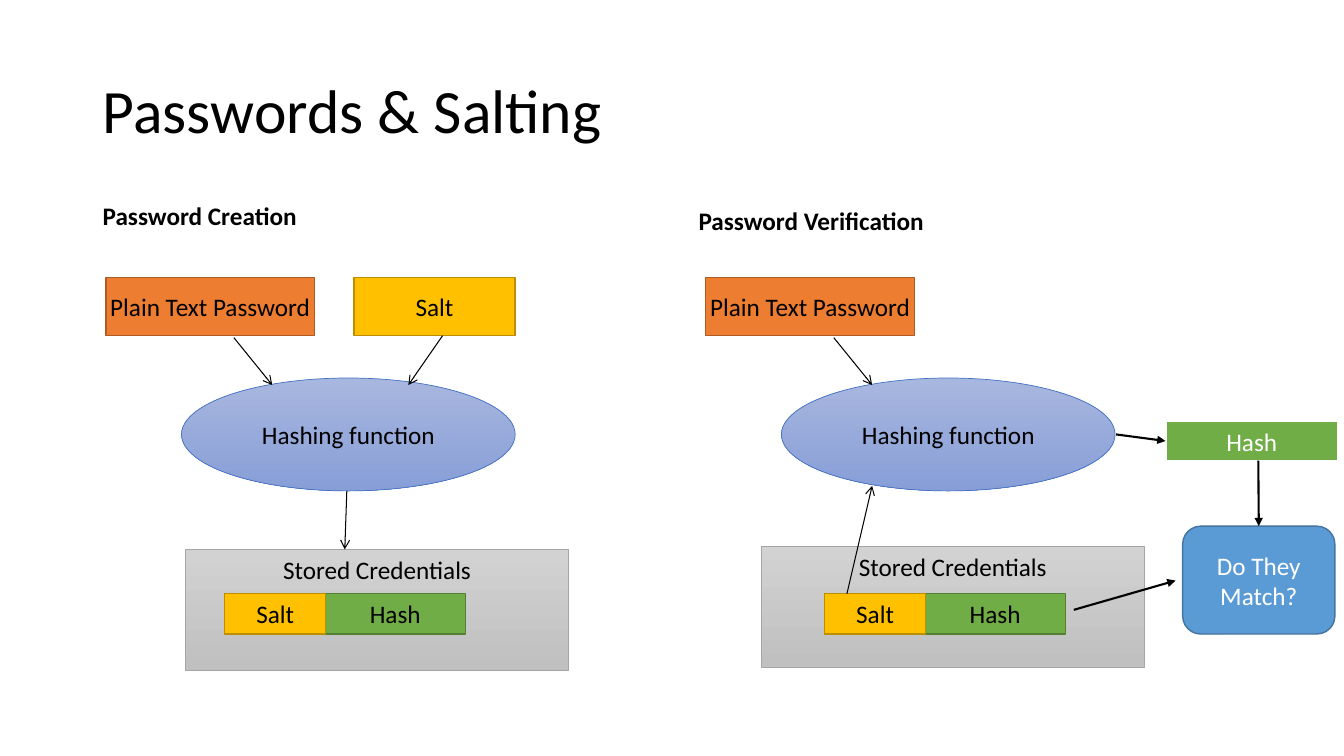
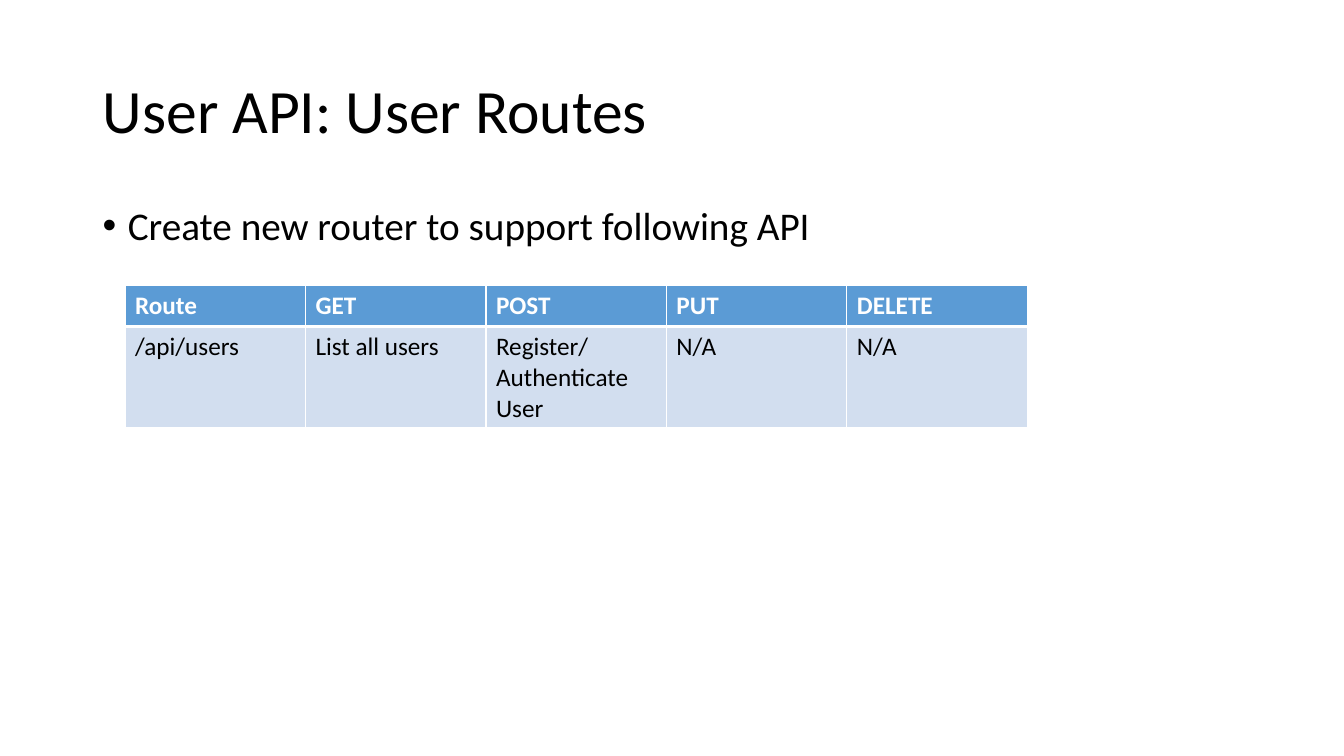
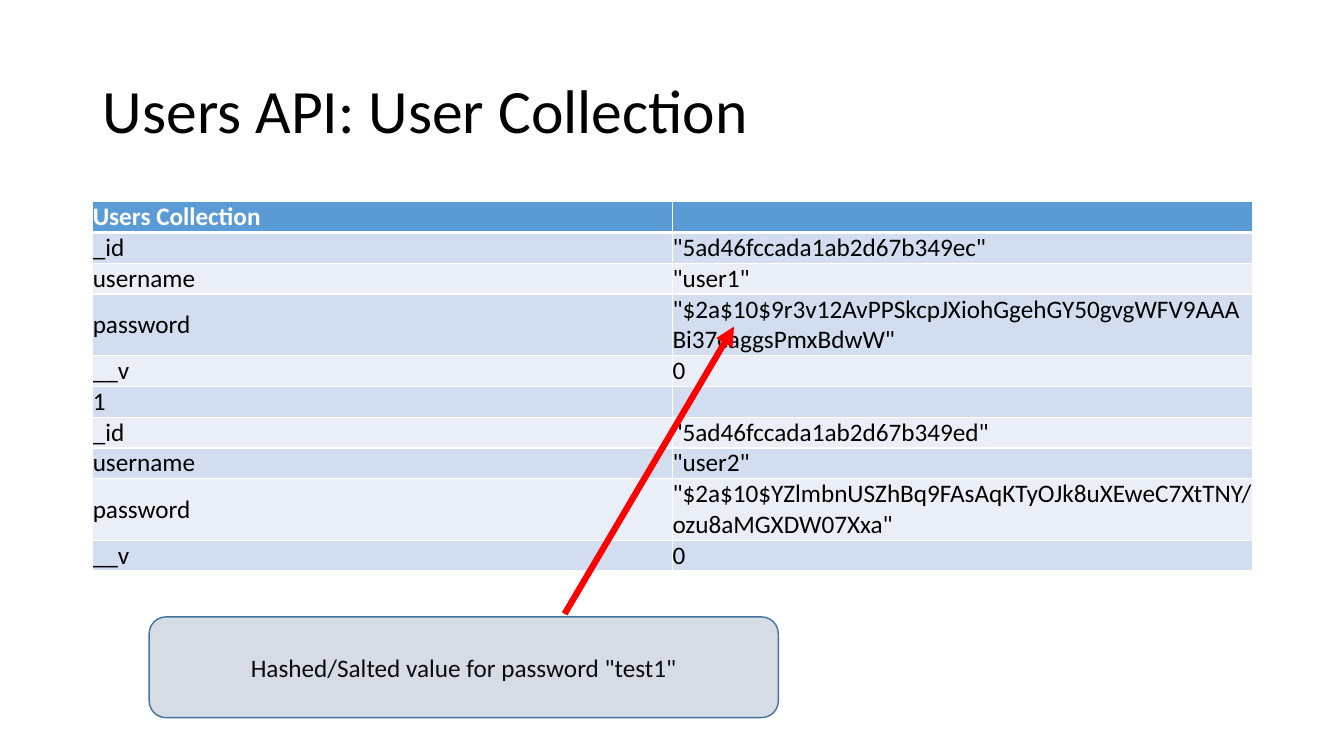
from lxml.etree import SubElement as sub
from pptx import Presentation
from pptx.dml.color import RGBColor
from pptx.enum.shapes import MSO_CONNECTOR, MSO_SHAPE as SHAPE
from pptx.enum.text import MSO_ANCHOR as ANCHOR, PP_ALIGN as ALIGN
from pptx.oxml.ns import qn
from pptx.util import Pt

PX = 9144  # 100 px to the inch
FONT = "Calibri"
BLACK, WHITE, RED = "000000", "FFFFFF", "FF0000"
BLUE, BAND, PALE = "5B9BD5", "D2DEEF", "EAEFF7"
rgb = RGBColor.from_string


def write(frame, text, size=18, color=BLACK, bold=False, align=ALIGN.LEFT,
          anchor=None, wrap=None, space=None):
    frame.word_wrap = wrap
    frame.vertical_anchor = anchor
    para = frame.paragraphs[0]
    para.alignment = align
    para.line_spacing = space
    run = para.add_run()
    run.text = text
    run.font.name, run.font.size, run.font.bold = FONT, Pt(size), bold
    run.font.color.rgb = rgb(color)
    return para


deck = Presentation()
deck.slide_width, deck.slide_height = 1333 * PX, 750 * PX

# Slides and titles
slides = []
for text in ("Passwords & Salting", "User API: User Routes",
             "Users API: User Collection"):
    slide = deck.slides.add_slide(deck.slide_layouts[5])
    title = slide.shapes.title
    title.left, title.top = 92 * PX, 40 * PX
    title.width, title.height = 1150 * PX, 145 * PX
    write(title.text_frame, text, size=44, anchor=ANCHOR.MIDDLE, wrap=True,
          space=0.9)
    slides.append(slide)
salting, routes, users = slides

# Headings and bullet
for x, y, w, text in ((92, 194, 214, "Password Creation"),
                      (683, 199, 245, "Password Verification")):
    head = salting.shapes.add_textbox(x * PX, y * PX, w * PX, 40 * PX)
    write(head.text_frame, text, bold=True, wrap=False)

body = routes.shapes.add_textbox(92 * PX, 200 * PX, 1150 * PX, 476 * PX)
para = write(body.text_frame, "Create new router to support following API",
             size=28, wrap=True, space=0.9)
para.space_before = Pt(10)
props = para._p.get_or_add_pPr()
props.set("marL", str(25 * PX))
props.set("indent", str(-25 * PX))
sub(props, qn("a:buFont"), typeface="Arial")
sub(props, qn("a:buChar"), char="•")

# Tables: slide, left, top, column width, row height, inset, anchor, rows
tables = [
    (routes, 124, 283, 179, 41, None, ANCHOR.TOP, [
        ("Route", "GET", "POST", "PUT", "DELETE"),
        ("/api/users", "List all users", "Register/ Authenticate User",
         "N/A", "N/A"),
    ]),
    (users, 92, 200, 575, 30, 0, ANCHOR.MIDDLE, [
        ("Users Collection", ""),
        ("_id", '"5ad46fccada1ab2d67b349ec"'),
        ("username", '"user1"'),
        ("password",
         '"$2a$10$9r3v12AvPPSkcpJXiohGgehGY50gvgWFV9AAABi37caggsPmxBdwW"'),
        ("__v", "0"),
        ("1", ""),
        ("_id", '"5ad46fccada1ab2d67b349ed"'),
        ("username", '"user2"'),
        ("password",
         '"$2a$10$YZlmbnUSZhBq9FAsAqKTyOJk8uXEweC7XtTNY/ozu8aMGXDW07Xxa"'),
        ("__v", "0"),
    ]),
]
for slide, x, y, w, h, inset, anchor, rows in tables:
    cols = len(rows[0])
    grid = slide.shapes.add_table(len(rows), cols, x * PX, y * PX,
                                  cols * w * PX, len(rows) * h * PX).table
    for r, row in enumerate(rows):
        for c, text in enumerate(row):
            cell = grid.cell(r, c)
            cell.vertical_anchor = anchor
            if inset is not None:
                cell.margin_left = cell.margin_right = inset
                cell.margin_top = cell.margin_bottom = inset
            # White borders, thick below the header
            for side in ("L", "R", "T", "B"):
                thick = (r, side) in ((0, "B"), (1, "T"))
                edge = sub(cell._tc.get_or_add_tcPr(), qn("a:ln" + side),
                           w=str(Pt(3 if thick else 1)))
                sub(sub(edge, qn("a:solidFill")), qn("a:srgbClr"), val=WHITE)
            cell.fill.solid()
            cell.fill.fore_color.rgb = rgb(
                BLUE if r == 0 else BAND if r % 2 else PALE)
            if text:
                write(cell.text_frame, text, bold=r == 0,
                      color=BLACK if r else WHITE)

# Box styles: shape, fill (two colours for a gradient), line, width, font
looks = {
    "plain": (SHAPE.RECTANGLE, ["ED7D31"], "AF5C24", 1, BLACK),
    "salt": (SHAPE.RECTANGLE, ["FFC000"], "BD8E00", 1, BLACK),
    "hash": (SHAPE.RECTANGLE, ["70AD47"], "538035", 1, BLACK),
    "func": (SHAPE.OVAL, ["A8B7DF", "889ED7"], "4472C4", 0.5, BLACK),
    "store": (SHAPE.RECTANGLE, ["D2D2D2", "C0C0C0"], "A5A5A5", 0.5, BLACK),
    "fresh": (SHAPE.RECTANGLE, ["70AD47"], WHITE, 1.5, WHITE),
    "match": (SHAPE.ROUNDED_RECTANGLE, [BLUE], "43739E", 1, WHITE),
    "note": (SHAPE.ROUNDED_RECTANGLE, ["D6DCE5"], "43739E", 1, "0C0C0C"),
}

# Boxes: slide, style, left, top, width, height, text
boxes = [
    (salting, "salt", 351, 275, 160, 58, "Salt"),
    (salting, "store", 184, 545, 380, 120, "Stored Credentials"),
    (salting, "store", 755, 542, 380, 120, "Stored Credentials"),
    (salting, "fresh", 1156, 418, 171, 39, "Hash"),
    (salting, "match", 1173, 522, 151, 107, "Do They Match?"),
    (users, "note", 148, 612, 624, 100,
     'Hashed/Salted value for password "test1"'),
]
SHIFT = 595  # from creation to verification
for dx in (0, SHIFT):
    boxes += [
        (salting, "plain", 105 + dx, 275, 207, 58, "Plain Text Password"),
        (salting, "func", 180 + dx, 375, 331, 112, "Hashing function"),
        (salting, "hash", 322 + dx, 589, 140, 40, "Hash"),
        (salting, "salt", 223 + dx, 589, 100, 40, "Salt"),
    ]
made = {}
for slide, name, x, y, w, h, text in boxes:
    kind, fill, edge, width, color = looks[name]
    box = slide.shapes.add_shape(kind, x * PX, y * PX, w * PX, h * PX)
    box.shadow.inherit = False
    if len(fill) == 1:
        box.fill.solid()
        box.fill.fore_color.rgb = rgb(fill[0])
    else:
        box.fill.gradient()
        box.fill.gradient_angle = 270
        for stop, tint in zip(box.fill.gradient_stops, fill):
            stop.color.rgb = rgb(tint)
    box.line.color.rgb = rgb(edge)
    box.line.width = Pt(width)
    write(box.text_frame, text, color=color, align=ALIGN.CENTER,
          anchor=ANCHOR.TOP if name == "store" else ANCHOR.MIDDLE,
          wrap=name in ("fresh", "match", "note"))
    made[name] = box

# Arrows: slide, start, end, colour, width, head, joined box and side
arrows = [
    (salting, (439, 333), (405, 382), BLACK, 0.75, "arrow", None),
    (salting, (232, 335), (270, 382), BLACK, 0.75, "arrow", None),
    (salting, (232 + SHIFT, 335), (270 + SHIFT, 382), BLACK, 0.75, "arrow",
     None),
    (salting, (344, 487), (342, 545), BLACK, 0.75, "arrow", None),
    (salting, (840, 589), (865, 482), BLACK, 0.75, "arrow", None),
    (salting, (1065, 605), (1166, 576), BLACK, 1.5, "triangle", None),
    (salting, (1248, 457), (1248, 522), BLACK, 1.5, "triangle", ("match", 0)),
    (salting, (1107, 431), (1156, 438), BLACK, 1.5, "triangle", ("fresh", 1)),
    (users, (560, 609), (728, 324), RED, 4.5, "triangle", None),
]
for slide, start, end, color, width, head, join in arrows:
    arrow = slide.shapes.add_connector(
        MSO_CONNECTOR.STRAIGHT, *[n * PX for n in start + end])
    arrow.line.color.rgb = rgb(color)
    arrow.line.width = Pt(width)
    props = arrow.element.spPr
    sub(props.find(qn("a:ln")), qn("a:tailEnd"), type=head)
    sub(props, qn("a:effectLst"))
    if join:
        arrow.end_connect(made[join[0]], join[1])

deck.save("out.pptx")
